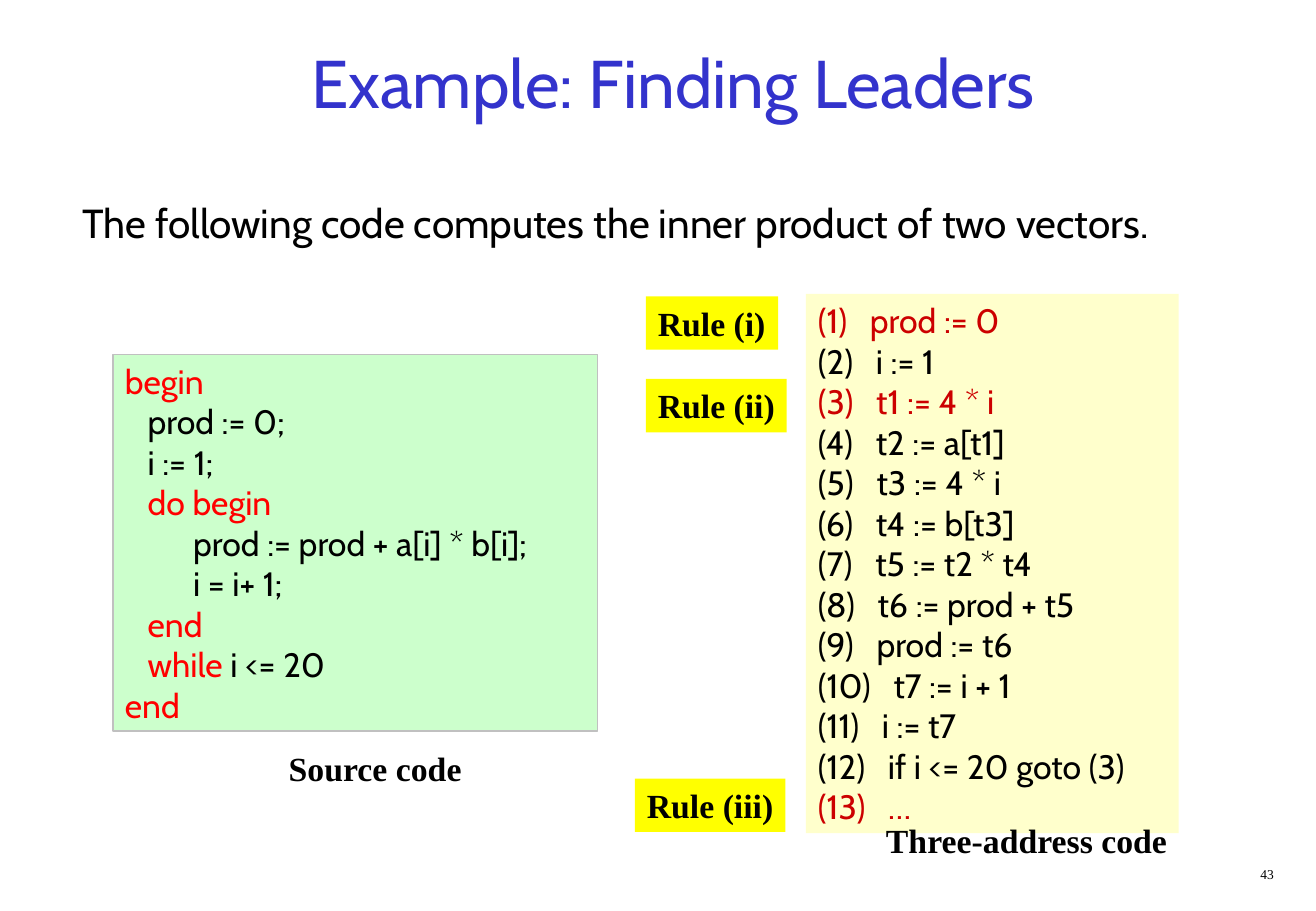
"""Builds the slide on finding leaders in three-address code."""
import dataclasses

import pptx
import pptx.dml.color
import pptx.enum.shapes
import pptx.enum.text
import pptx.util

ALIGN = pptx.enum.text.PP_ALIGN
ANCHOR = pptx.enum.text.MSO_ANCHOR


@dataclasses.dataclass(frozen=True)
class Theme:
    sans: str = "Cabin"
    serif: str = "Times New Roman"
    black: str = "000000"
    title: str = "3333CC"
    keyword: str = "FF0000"
    leader: str = "CC0000"
    source_fill: str = "CCFFCC"
    source_line: str = "C0C0C0"
    address_fill: str = "FFFFCC"
    rule_fill: str = "FFFF00"
    title_size: int = 40
    intro_size: int = 24
    body_size: int = 20
    number_size: int = 8


def rgb(value):
    return pptx.dml.color.RGBColor.from_string(value)


def write(para, text, *, font, size, color, bold=False):
    span = para.add_run()
    span.text = text
    span.font.name = font
    span.font.size = pptx.util.Pt(size)
    span.font.bold = bold
    span.font.color.rgb = rgb(color)


class Slide:
    width = pptx.util.Inches(10.84)
    height = pptx.util.Inches(7.5)
    columns = 100
    rows = 100

    def __init__(self, deck, theme):
        deck.slide_width, deck.slide_height = self.width, self.height
        self.theme = theme
        self.page = deck.slides.add_slide(deck.slide_layouts[6])

    def place(self, left, top, width, height):
        column, row = self.width / self.columns, self.height / self.rows
        return (round(left * column), round(top * row),
                round(width * column), round(height * row))

    def panel(self, area, fill, line=None):
        box = self.page.shapes.add_shape(
            pptx.enum.shapes.MSO_SHAPE.RECTANGLE, *self.place(*area))
        box.shadow.inherit = False
        box.fill.solid()
        box.fill.fore_color.rgb = rgb(fill)
        if line:
            box.line.color.rgb = rgb(line)
            box.line.width = pptx.util.Pt(0.75)
        else:
            box.line.fill.background()
        return box

    def text(self, area, text, *, box=None, wrap=True, align=ALIGN.LEFT,
             anchor=ANCHOR.TOP, **style):
        box = box or self.page.shapes.add_textbox(*self.place(*area))
        frame = box.text_frame
        frame.word_wrap = wrap
        frame.vertical_anchor = anchor
        para = frame.paragraphs[0]
        para.alignment = align
        write(para, text, **style)

    def label(self, area, text, fill=None):
        self.text(area, text, box=self.panel(area, fill) if fill else None,
                  wrap=False, font=self.theme.serif,
                  size=self.theme.body_size, color=self.theme.black, bold=True)

    def code(self, area, lines, fill, line=None):
        frame = self.panel(area, fill, line).text_frame
        frame.word_wrap = True
        frame.vertical_anchor = ANCHOR.TOP
        for index, spans in enumerate(lines):
            para = frame.add_paragraph() if index else frame.paragraphs[0]
            para.alignment = ALIGN.LEFT
            for text, color in spans:
                write(para, text, font=self.theme.sans,
                      size=self.theme.body_size, color=color)


def main():
    theme = Theme()
    deck = pptx.Presentation()
    slide = Slide(deck, theme)
    black, keyword = theme.black, theme.keyword

    slide.text((76.85, 94.4, 20.85, 3.33), "43", align=ALIGN.RIGHT,
               font=theme.serif, size=theme.number_size, color=black)
    slide.text((3.87, 2.27, 94.56, 13.33), "Example: Finding Leaders",
               align=ALIGN.CENTER, anchor=ANCHOR.MIDDLE,
               font=theme.sans, size=theme.title_size, color=theme.title)
    slide.text((5.35, 21.07, 93.17, 6.67),
               "The following code computes the inner product of two vectors.",
               font=theme.sans, size=theme.intro_size, color=black)

    leaders = {1, 3, 13}
    instructions = [
        "prod := 0", "i := 1", "t1 := 4 * i", "t2 := a[t1]", "t3 := 4 * i",
        "t4 := b[t3]", "t5 := t2 * t4", "t6 := prod + t5", "prod := t6",
        "t7 := i + 1", "i := t7", "if i <= 20 goto (3)", "…",
    ]
    slide.code((61.25, 32.27, 28.32, 59.2),
               [[(f"({number})   {instruction}",
                  theme.leader if number in leaders else black)]
                for number, instruction in enumerate(instructions, 1)],
               theme.address_fill)

    label_height = 5.87
    slide.label((21.03, 81.47, 15.04, label_height), "Source code")
    slide.label((66.42, 89.33, 23.25, label_height), "Three-address code")
    for left, top, width, name in [(49.08, 32.53, 10.06, "Rule (i)"),
                                   (49.08, 41.6, 10.7, "Rule (ii)"),
                                   (48.25, 85.47, 11.44, "Rule (iii)")]:
        slide.label((left, top, width, label_height), name, theme.rule_fill)

    source = [
        [("begin", keyword)],
        [("   prod := 0;", black)],
        [("   i := 1;", black)],
        [("   ", black), ("do begin", keyword)],
        [("         prod := prod + a[i] * b[i];", black)],
        [("         i = i+ 1;", black)],
        [("   ", black), ("end", keyword)],
        [("   ", black), ("while", keyword), (" i <= 20", black)],
        [("end", keyword)],
    ]
    slide.code((8.58, 38.93, 36.81, 41.33), source,
               theme.source_fill, theme.source_line)

    deck.save("out.pptx")


if __name__ == "__main__":
    main()
